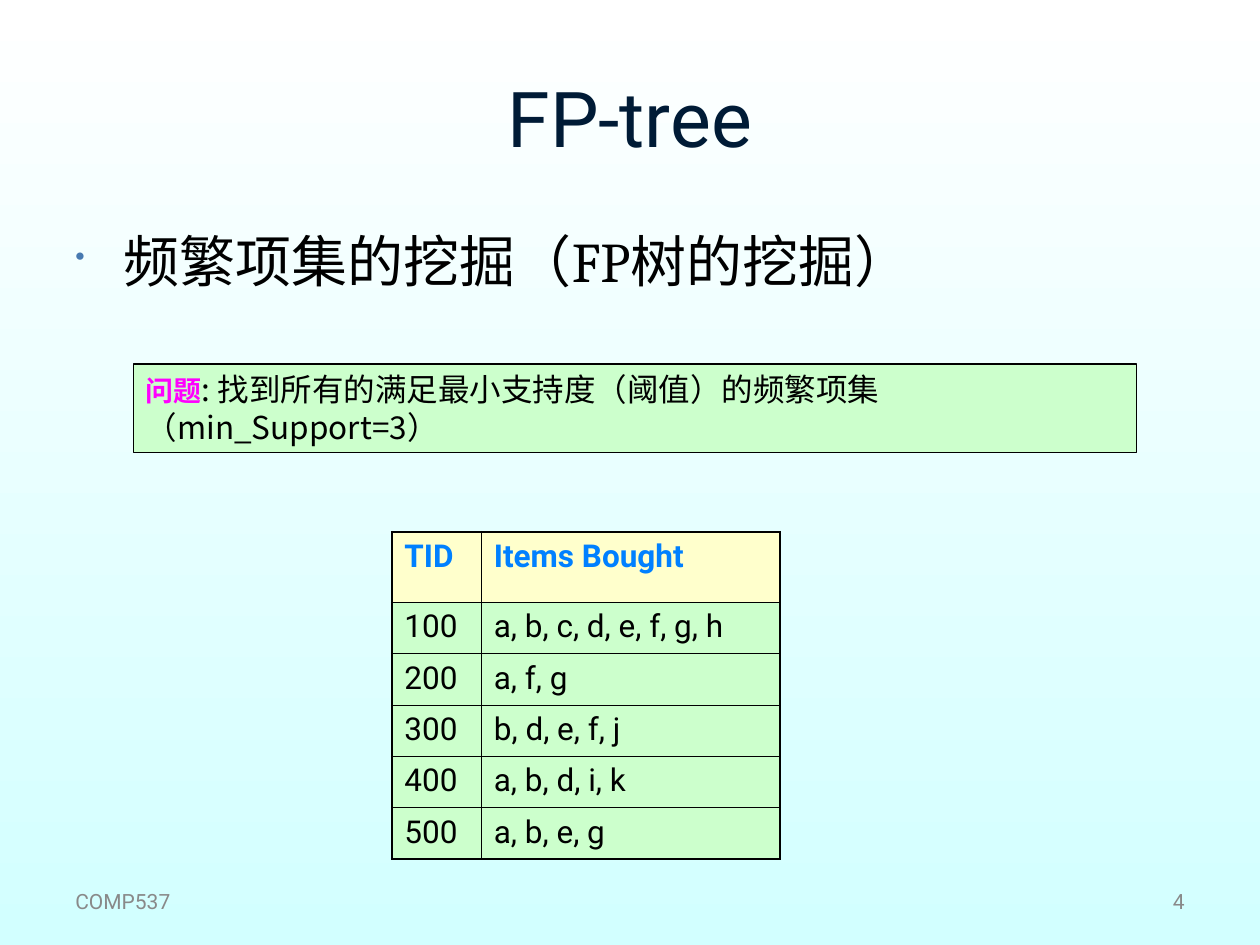
from lxml.etree import SubElement
from pptx import Presentation
from pptx.dml.color import RGBColor
from pptx.enum.shapes import MSO_SHAPE
from pptx.enum.text import MSO_ANCHOR, PP_ALIGN
from pptx.oxml.ns import qn
from pptx.util import Inches, Pt

WHITE = RGBColor(0xFF, 0xFF, 0xFF)
AQUA = RGBColor(0xD2, 0xFF, 0xFF)
NAVY = RGBColor(0x00, 0x1B, 0x36)
BLACK = RGBColor(0x00, 0x00, 0x00)
GREY = RGBColor(0x89, 0x89, 0x89)
BULLET_BLUE = RGBColor(0x47, 0x7A, 0xB1)
MAGENTA = RGBColor(0xFF, 0x00, 0xFF)
HEADER_BLUE = RGBColor(0x00, 0x80, 0xFF)
GREEN = RGBColor(0xCC, 0xFF, 0xCC)
CREAM = RGBColor(0xFF, 0xFF, 0xCC)

LATIN = "Roboto"
SERIF = "Cambria"
CHINESE = "Noto Sans CJK SC"
THIN, THICK = 0.45, 1.08

TRANSACTIONS = [
    ("TID", "Items Bought"),
    ("100", "a, b, c, d, e, f, g, h"),
    ("200", "a, f, g"),
    ("300", "b, d, e, f, j"),
    ("400", "a, b, d, i, k"),
    ("500", "a, b, e, g"),
]


def inches(box):
    return [Inches(length) for length in box]


def add_span(para, text, size, color, font=LATIN, bold=False):
    span = para.add_run()
    span.text = text
    span.font.size = Pt(size)
    span.font.bold = bold
    span.font.color.rgb = color
    span.font.name = font
    SubElement(span.font._element, qn("a:ea"), typeface=CHINESE)


def add_text(page, box, align=PP_ALIGN.LEFT, anchor=MSO_ANCHOR.MIDDLE):
    frame = page.shapes.add_textbox(*inches(box)).text_frame
    frame.word_wrap = True
    frame.vertical_anchor = anchor
    para = frame.paragraphs[0]
    para.alignment = align
    return para


def paint_background(page):
    fill = page.background.fill
    fill.gradient()
    fill.gradient_angle = 270
    for stop, color in zip(fill.gradient_stops, (WHITE, AQUA)):
        stop.color.rgb = color


def add_title(page, box):
    add_span(add_text(page, box, PP_ALIGN.CENTER), "FP-tree", 44, NAVY)


def add_topic(page, box):
    para = add_text(page, box, anchor=MSO_ANCHOR.TOP)
    properties = para._p.get_or_add_pPr()
    properties.set("marL", str(Inches(0.38)))
    properties.set("indent", str(-Inches(0.38)))
    color = SubElement(properties, qn("a:buClr"))
    SubElement(color, qn("a:srgbClr"), val=str(BULLET_BLUE))
    SubElement(properties, qn("a:buSzPct"), val="50000")
    SubElement(properties, qn("a:buChar"), char="•")
    add_span(para, "频繁项集的挖掘（FP树的挖掘）", 32, BLACK, SERIF)


def add_problem(page, box):
    panel = page.shapes.add_shape(MSO_SHAPE.RECTANGLE, *inches(box))
    panel.shadow.inherit = False
    panel.fill.solid()
    panel.fill.fore_color.rgb = GREEN
    panel.line.color.rgb = BLACK
    panel.line.width = Pt(0.75)
    frame = panel.text_frame
    frame.word_wrap = True
    frame.vertical_anchor = MSO_ANCHOR.TOP
    para = frame.paragraphs[0]
    para.alignment = PP_ALIGN.LEFT
    add_span(para, "问题", 16, MAGENTA, bold=True)
    add_span(para, ": 找到所有的满足最小支持度（阈值）的频繁项集（min_Support=3）",
             18, BLACK, CHINESE)


def set_borders(cell, outer_sides):
    properties = cell._tc.get_or_add_tcPr()
    for index, side in enumerate("LRTB"):
        width = THICK if side in outer_sides else THIN
        line = properties.makeelement(qn(f"a:ln{side}"), {"w": str(Pt(width))})
        fill = SubElement(line, qn("a:solidFill"))
        SubElement(fill, qn("a:srgbClr"), val=str(BLACK))
        properties.insert(index, line)


def add_transactions(page, box):
    row_count, column_count = len(TRANSACTIONS), len(TRANSACTIONS[0])
    table = page.shapes.add_table(row_count, column_count, *inches(box)).table
    left, top, width, height = box
    id_width, header_height = 0.71, 0.56
    row_height = (height - header_height) / (row_count - 1)
    for column, column_width in zip(table.columns, (id_width, width - id_width)):
        column.width = Inches(column_width)
    for r, values in enumerate(TRANSACTIONS):
        header = r == 0
        table.rows[r].height = Inches(header_height if header else row_height)
        for c, value in enumerate(values):
            cell = table.cell(r, c)
            cell.fill.solid()
            cell.fill.fore_color.rgb = CREAM if header else GREEN
            outer_sides = "LR"[c]
            if header:
                outer_sides += "T"
            if r == row_count - 1:
                outer_sides += "B"
            set_borders(cell, outer_sides)
            add_span(cell.text_frame.paragraphs[0], value, 18,
                     HEADER_BLUE if header else BLACK, bold=header)


def add_footer(page, box):
    left, top, width, height = box
    part = 2.33
    add_span(add_text(page, (left, top, part, height)), "COMP537", 12, GREY)
    number_box = (left + width - part, top, part, height)
    add_span(add_text(page, number_box, PP_ALIGN.RIGHT), "4", 12, GREY)


def main():
    deck = Presentation()
    deck.slide_width, deck.slide_height = Inches(10), Inches(7.5)
    page = deck.slides.add_slide(deck.slide_layouts[6])
    margin, content_width = 0.5, 9
    paint_background(page)
    add_title(page, (margin, 0.3, content_width, 1.25))
    add_topic(page, (margin, 1.75, content_width, 4.95))
    add_footer(page, (margin, 6.95, content_width, 0.4))
    add_problem(page, (1.06, 2.89, 7.96, 0.7))
    add_transactions(page, (3.11, 4.22, 3.08, 2.6))
    deck.save("out.pptx")


if __name__ == "__main__":
    main()
